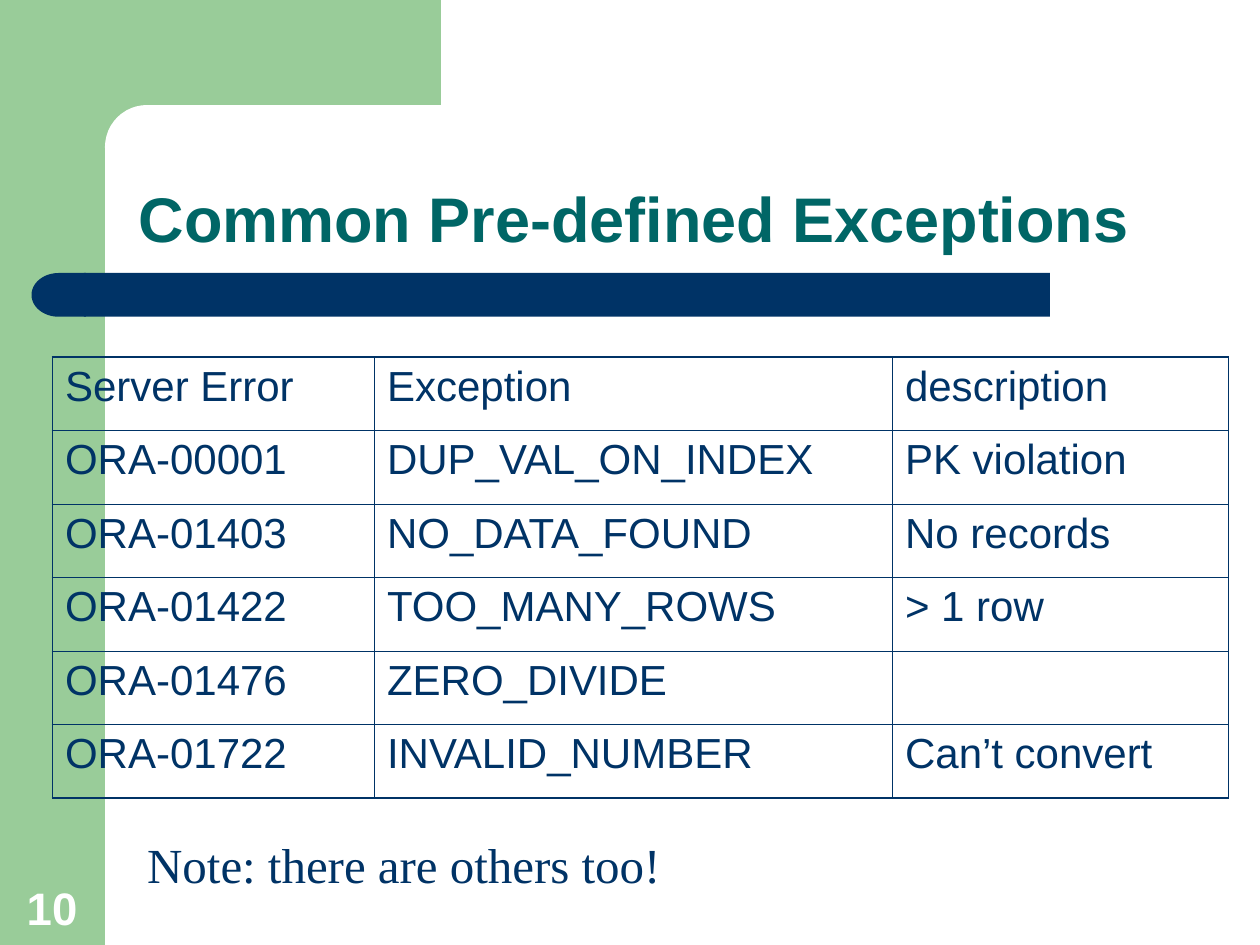
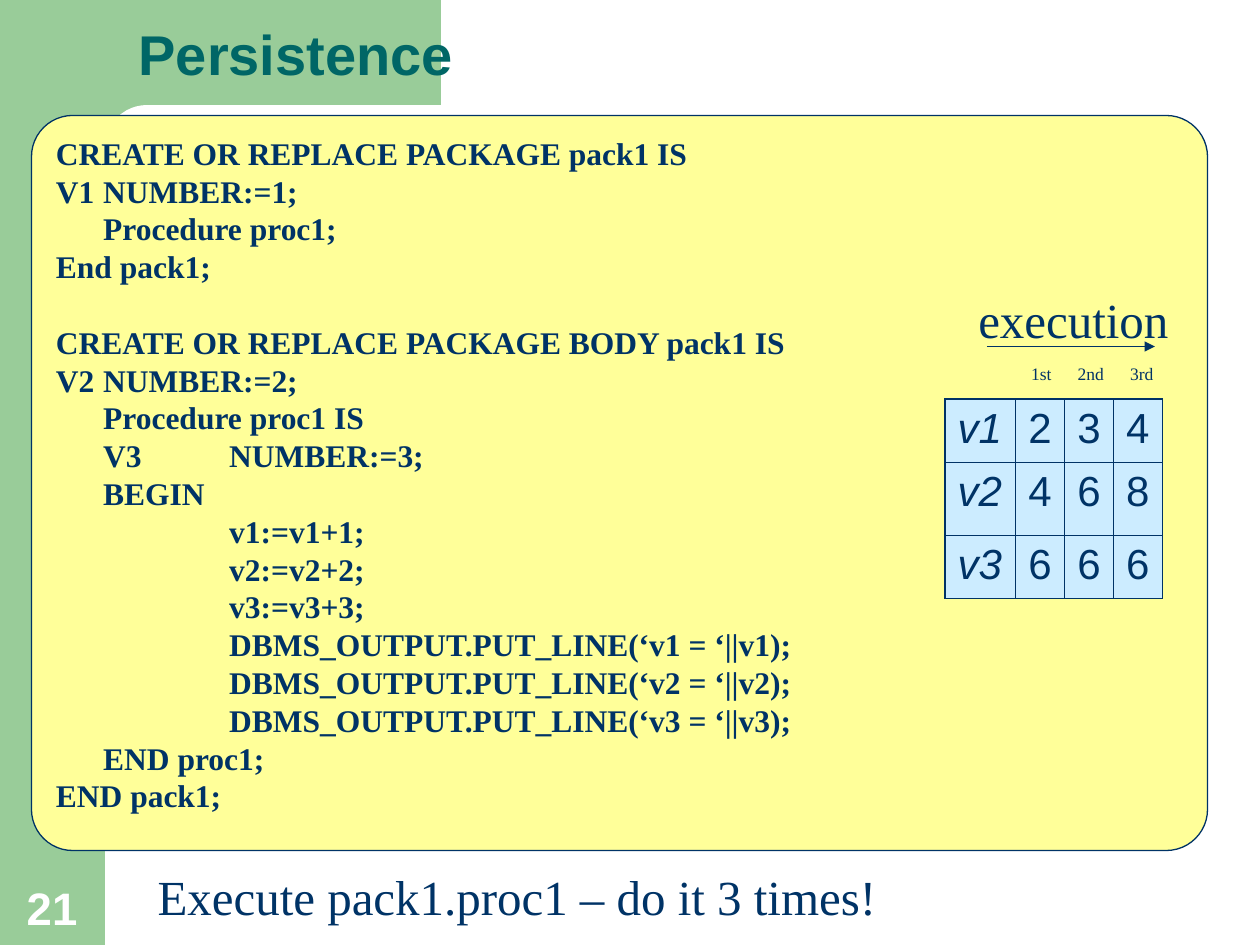
from lxml.etree import SubElement
from pptx import Presentation
from pptx.dml.color import RGBColor
from pptx.enum.shapes import MSO_CONNECTOR, MSO_SHAPE
from pptx.enum.text import MSO_ANCHOR, MSO_AUTO_SIZE, PP_ALIGN
from pptx.oxml import parse_xml
from pptx.oxml.ns import nsdecls, qn
from pptx.util import Pt

# Content
ERRORS = [
    ("Server Error", "Exception", "description"),
    ("ORA-00001", "DUP_VAL_ON_INDEX", "PK violation"),
    ("ORA-01403", "NO_DATA_FOUND", "No records"),
    ("ORA-01422", "TOO_MANY_ROWS", "> 1 row"),
    ("ORA-01476", "ZERO_DIVIDE", ""),
    ("ORA-01722", "INVALID_NUMBER", "Can’t convert"),
]
PACKAGE_SPEC = [
    "CREATE OR REPLACE PACKAGE pack1 IS",
    "V1\tNUMBER:=1;",
    "\tProcedure proc1;",
    "End pack1;",
]
PACKAGE_BODY = [
    "CREATE OR REPLACE PACKAGE BODY pack1 IS",
    "V2\tNUMBER:=2;",
    "\tProcedure proc1 IS",
    "\tV3\tNUMBER:=3;",
    "\tBEGIN",
    "\t\tv1:=v1+1;",
    "\t\tv2:=v2+2;",
    "\t\tv3:=v3+3;",
    "\t\tDBMS_OUTPUT.PUT_LINE(‘v1 = ‘||v1);",
    "\t\tDBMS_OUTPUT.PUT_LINE(‘v2 = ‘||v2);",
    "\t\tDBMS_OUTPUT.PUT_LINE(‘v3 = ‘||v3);",
    "\tEND proc1;",
    "END pack1;",
]
RUN_VALUES = [("v1", "2", "3", "4"), ("v2", "4", "6", "8"), ("v3", "6", "6", "6")]
RUN_LABELS = "1st\t2nd\t3rd"

# Shared look
COLORS = {"green": "99CC99", "white": "FFFFFF", "navy": "003366",
          "teal": "006666", "yellow": "FFFF99", "sky": "CCECFF"}
TITLE = {"name": "Arial", "bold": True, "color": "teal"}
NUMBER = {"name": "Arial", "size": 26, "bold": True, "color": "white"}
CELL = {"name": "Arial", "size": 24, "color": "navy"}
CODE = {"name": "Times New Roman", "size": 18, "bold": True, "color": "navy"}
NOTE = {"name": "Times New Roman", "size": 28, "color": "navy"}
SMALL = {**NOTE, "size": 10}
CODE_LEADING, CODE_INDENT, CODE_TAB = 21.6, 27, 72
OUTER, INNER = 1.08, 0.45


def rgb(name):
    return RGBColor.from_string(COLORS[name])


def box(x, y, w, h):
    return Pt(x), Pt(y), Pt(w), Pt(h)


def style(font, fmt):
    for key, value in fmt.items():
        if key == "color":
            font.color.rgb = rgb(value)
        else:
            setattr(font, key, Pt(value) if key == "size" else value)


def add_tabs(p, stops):
    tabs = SubElement(p._p.get_or_add_pPr(), qn("a:tabLst"))
    for stop in stops:
        SubElement(tabs, qn("a:tab"), pos=str(Pt(stop)), algn="l")


def add_block(shapes, kind, at, fill, line=None, adj=None):
    s = shapes.add_shape(kind, *box(*at))
    s.shadow.inherit = False
    s.fill.solid()
    s.fill.fore_color.rgb = rgb(fill)
    if line:
        s.line.color.rgb = rgb(line)
        s.line.width = Pt(0.75)
    else:
        s.line.fill.background()
    if adj is not None:
        s.adjustments[0] = adj
    return s


def add_text(slide, at, text, fmt, anchor=MSO_ANCHOR.TOP, stops=()):
    tf = slide.shapes.add_textbox(*box(*at)).text_frame
    tf.word_wrap = True
    tf.vertical_anchor = anchor
    p = tf.paragraphs[0]
    if stops:
        add_tabs(p, stops)
    r = p.add_run()
    r.text = text
    style(r.font, fmt)


def add_bands(slide, layout):
    """Draw the green frame and hand it to the layout, so every slide shows it."""
    bands = [
        (MSO_SHAPE.RECTANGLE, (0, 0, 60, 540), "green", None),
        (MSO_SHAPE.RECTANGLE, (54, 0, 198, 84), "green", None),
        (MSO_SHAPE.ROUNDED_RECTANGLE, (60, 60, 402, 48), "white", 0.5),
    ]
    for i, (kind, at, fill, adj) in enumerate(bands):
        s = add_block(slide.shapes, kind, at, fill, adj=adj)
        layout.shapes._spTree.insert(2 + i, s._element)


def add_slide(prs, title, at, size, number):
    slide = prs.slides.add_slide(prs.slide_layouts[5])
    s = slide.shapes.title
    s.left, s.top, s.width, s.height = box(*at)
    tf = s.text_frame
    tf.auto_size = MSO_AUTO_SIZE.NONE
    tf.vertical_anchor = MSO_ANCHOR.BOTTOM
    p = tf.paragraphs[0]
    p.alignment = PP_ALIGN.LEFT
    p.line_spacing = 0.9
    r = p.add_run()
    r.text = title
    style(r.font, {**TITLE, "size": size})
    add_text(slide, (8.2, 498.4, 46, 39), number, NUMBER, MSO_ANCHOR.BOTTOM)
    return slide


def set_borders(cell, widths):
    tcPr = cell._tc.get_or_add_tcPr()
    for i, (side, width) in enumerate(zip("LRTB", widths)):
        tcPr.insert(i, parse_xml(
            f'<a:ln{side} {nsdecls("a")} w="{Pt(width)}"><a:solidFill>'
            f'<a:srgbClr val="{COLORS["navy"]}"/></a:solidFill></a:ln{side}>'))


def add_grid(slide, left, top, rows, col_widths, row_heights, fill=None, italic_first=False):
    at = box(left, top, sum(col_widths), sum(row_heights))
    table = slide.shapes.add_table(len(rows), len(col_widths), *at).table
    table.first_row = table.horz_banding = False
    for col, width in zip(table.columns, col_widths):
        col.width = Pt(width)
    for i, (row, height) in enumerate(zip(rows, row_heights)):
        table.rows[i].height = Pt(height)
        for j, text in enumerate(row):
            cell = table.cell(i, j)
            if fill:
                cell.fill.solid()
                cell.fill.fore_color.rgb = rgb(fill)
            else:
                cell.fill.background()
            edges = (j == 0, j == len(row) - 1, i == 0, i == len(rows) - 1)
            set_borders(cell, [OUTER if edge else INNER for edge in edges])
            p = cell.text_frame.paragraphs[0]
            p.text = text
            style(p.font, CELL)
            for r in p.runs:
                style(r.font, {**CELL, "italic": italic_first and j == 0})


def add_code(slide):
    s = add_block(slide.shapes, MSO_SHAPE.ROUNDED_RECTANGLE, (18, 66, 672, 420),
                  "yellow", "navy", 0.056)
    tf = s.text_frame
    tf.word_wrap = True
    tf.vertical_anchor = MSO_ANCHOR.TOP
    for i, line in enumerate(PACKAGE_SPEC + PACKAGE_BODY):
        p = tf.add_paragraph() if i else tf.paragraphs[0]
        p.alignment = PP_ALIGN.LEFT
        p.line_spacing = Pt(CODE_LEADING)
        if i == len(PACKAGE_SPEC):
            p.space_before = Pt(CODE_LEADING)
        pPr = p._p.get_or_add_pPr()
        for key, value in (("marL", CODE_INDENT), ("indent", -CODE_INDENT), ("defTabSz", CODE_TAB)):
            pPr.set(key, str(Pt(value)))
        add_tabs(p, [CODE_TAB * n for n in range(8)])
        r = p.add_run()
        r.text = line
        style(r.font, CODE)


def add_arrow(slide, x1, x2, y):
    s = slide.shapes.add_connector(MSO_CONNECTOR.STRAIGHT, Pt(x1), Pt(y), Pt(x2), Pt(y))
    s.line.color.rgb = rgb("navy")
    s.line.width = Pt(0.75)
    SubElement(s.line._get_or_add_ln(), qn("a:tailEnd"), type="triangle")
    SubElement(s._element.spPr, qn("a:effectLst"))


def main():
    prs = Presentation()
    prs.slide_width, prs.slide_height = Pt(720), Pt(540)

    # Exceptions slide
    slide = add_slide(prs, "Common Pre-defined Exceptions", (72, 60, 630, 90), 36, "10")
    add_bands(slide, prs.slide_layouts[5])
    add_block(slide.shapes, MSO_SHAPE.RECTANGLE, (48, 156, 552, 25), "navy")
    cap = add_block(slide.shapes, MSO_SHAPE.FLOWCHART_DELAY, (18, 156, 31, 25), "navy")
    cap.rotation = 180
    add_grid(slide, 30, 204, ERRORS, (184, 296, 192), [42] * len(ERRORS))
    add_text(slide, (77, 473.4, 314, 41), "Note: there are others too!", NOTE)

    # Persistence slide
    slide = add_slide(prs, "Persistence", (72, 29.5, 630, 24), 32, "21")
    add_code(slide)
    add_text(slide, (83, 491.4, 432, 41), "Execute pack1.proc1 – do it 3 times!", NOTE)
    add_grid(slide, 540, 228, RUN_VALUES, (40.4, 28, 28, 28), (36, 42, 36), "sky", True)
    add_arrow(slide, 564, 660, 198)
    add_text(slide, (582.2, 204, 92, 19.5), RUN_LABELS, SMALL, stops=(26.5, 56.5))
    add_text(slide, (552, 162, 130, 41), "execution", NOTE)

    prs.save("out.pptx")


if __name__ == "__main__":
    main()
